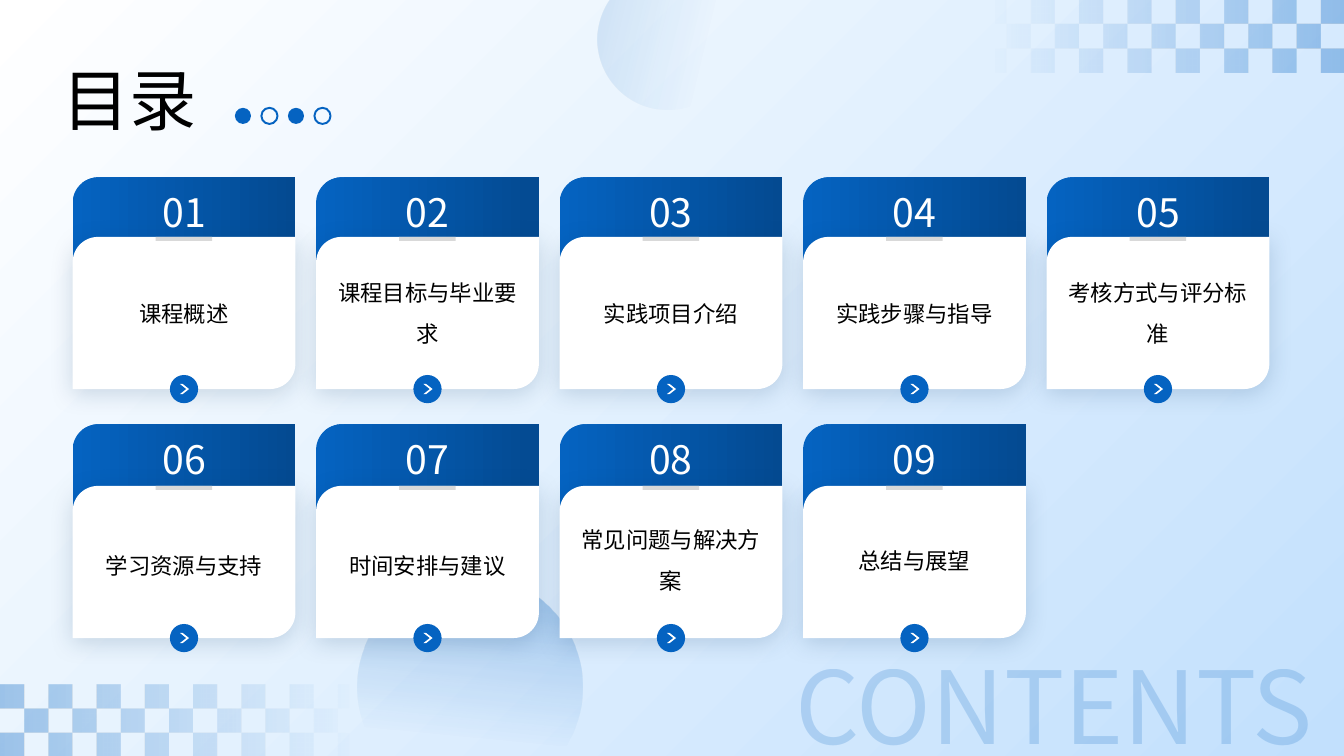
from lxml import etree
from pptx import Presentation
from pptx import util as u
from pptx.dml.color import RGBColor
from pptx.enum import shapes, text
from pptx.oxml import parse_xml
from pptx.oxml.ns import qn

In = u.Inches
MSO = shapes.MSO_SHAPE
FONT = "Noto Sans CJK SC"
BLUE, NAVY, WHITE, BLACK, GREY = "0563C1", "044A91", "FFFFFF", "000000", "D9D9D9"
SHADOW = "033160"
NS = 'xmlns:a="http://schemas.openxmlformats.org/drawingml/2006/main"'

# Chapter title and how far its text box sits below the white panel's top
CHAPTERS = [
    ("课程概述", 0.17), ("课程目标与毕业要求", 0.17), ("实践项目介绍", 0.17),
    ("实践步骤与指导", 0.17), ("考核方式与评分标准", 0.17),
    ("学习资源与支持", 0.2), ("时间安排与建议", 0.2),
    ("常见问题与解决方案", 0.15), ("总结与展望", 0.15),
]
COLUMNS = 5
ROWS = [(1.76, 0.59), (4.21, 0.61)]  # card top, drop to the white panel
CARD_LEFT, CARD_PITCH, CARD_W, CARD_H = 0.72, 2.415, 2.21, 1.51


def rgb(value):
    return RGBColor.from_string(value)


def set_gradient(sp, stops, angle=0):
    """Stops are (position %, colour, opacity %)."""
    gs = "".join(
        f'<a:gs pos="{pos * 1000}"><a:srgbClr val="{color}">'
        f'<a:alpha val="{alpha * 1000}"/></a:srgbClr></a:gs>'
        for pos, color, alpha in stops)
    grad = parse_xml(
        f'<a:gradFill {NS} rotWithShape="1"><a:gsLst>{gs}</a:gsLst>'
        f'<a:lin ang="{angle * 60000}" scaled="0"/></a:gradFill>')
    sp.fill.background()
    old = sp._element.spPr.find(qn("a:noFill"))
    old.getparent().replace(old, grad)


def add_shape(s, kind, x, y, w, h, fill=None, line=None):
    sp = s.shapes.add_shape(kind, In(x), In(y), In(w), In(h))
    sp.shadow.inherit = False
    if fill:
        sp.fill.solid()
        sp.fill.fore_color.rgb = rgb(fill)
    else:
        sp.fill.background()
    if line:
        sp.line.color.rgb = rgb(line)
        sp.line.width = u.Pt(1.38)
    else:
        sp.line.fill.background()
    return sp


def add_text(s, words, x, y, w, h, size, color, align="CENTER", anchor="MIDDLE",
             spacing=1.2, alpha=None):
    tf = s.shapes.add_textbox(In(x), In(y), In(w), In(h)).text_frame
    tf.word_wrap = True
    tf.margin_left = tf.margin_right = tf.margin_top = tf.margin_bottom = 0
    tf.vertical_anchor = text.MSO_ANCHOR[anchor]
    tf.text = words
    p = tf.paragraphs[0]
    p.alignment = text.PP_ALIGN[align]
    p.line_spacing = spacing
    r = p.runs[0]
    r.font.size = u.Pt(size)
    r.font.color.rgb = rgb(color)
    r.font.name = FONT
    r_pr = r.font._element
    etree.SubElement(r_pr, qn("a:ea")).set("typeface", FONT)
    if alpha:
        clr = r_pr.find(".//" + qn("a:srgbClr"))
        etree.SubElement(clr, qn("a:alpha")).set("val", str(alpha * 1000))


def add_checkerboard(s, x, y, first, angle):
    """16 by 3 board; first is the parity of the filled cells."""
    cell = In(0.239)
    left, top = In(x), In(y)
    squares = [(left + col * cell, top + row * cell)
               for row in range(3) for col in range(16)
               if (row + col) % 2 == first]
    board = s.shapes.build_freeform(*squares[0], scale=1.0)
    for i, (cx, cy) in enumerate(squares):
        if i:
            board.move_to(cx, cy)
        board.add_line_segments(
            [(cx + cell, cy), (cx + cell, cy + cell), (cx, cy + cell)], close=True)
    sp = board.convert_to_shape()
    sp.shadow.inherit = False
    sp.line.fill.background()
    set_gradient(sp, [(0, BLUE, 34), (91, BLUE, 0)], angle)


def add_background(s, w, h):
    sp = add_shape(s, MSO.RECTANGLE, 0, 0, w, h)
    set_gradient(sp, [(0, WHITE, 100), (100, "C2E0FD", 100)], 45)
    add_checkerboard(s, 0, h - 0.71, 0, 0)
    add_checkerboard(s, w - 3.82, 0, 1, 180)
    add_text(s, "CONTENTS", 6.8, 6.23, 6.22, 1.27, 72, BLUE, align="RIGHT", alpha=18)
    # Fading circles
    for x, y, size, turn, alpha in [(3.55, 5.7, 2.23, 95.5, 34),
                                    (5.93, -0.3, 1.39, 13.5, 16)]:
        sp = add_shape(s, MSO.OVAL, x, y, size, size)
        sp.rotation = turn
        set_gradient(sp, [(0, BLUE, alpha), (69, BLUE, 0)])


def add_heading(s, x, y):
    add_text(s, "目录", x, y, 1.83, 0.97, 48, BLACK, align="LEFT", anchor="BOTTOM")
    # Alternating solid and hollow dots
    for i in range(4):
        style = {"line": BLUE} if i % 2 else {"fill": BLUE}
        add_shape(s, MSO.OVAL, x + 1.71 + i * 0.263, y + 0.66, 0.16, 0.16, **style)


def add_card(s, x, y, drop, number, title, title_drop):
    middle, panel_y = x + CARD_W / 2, y + drop
    # Blue back and white panel
    back = add_shape(s, MSO.ROUND_2_DIAG_RECTANGLE, x, y, CARD_W, CARD_H)
    set_gradient(back, [(0, BLUE, 100), (100, NAVY, 100)])
    panel = add_shape(s, MSO.ROUND_2_DIAG_RECTANGLE, x, panel_y, CARD_W, CARD_H, WHITE)
    panel._element.spPr.find(qn("a:effectLst")).append(parse_xml(
        f'<a:outerShdw {NS} blurRad="{u.Pt(17)}" dist="{u.Pt(3)}" dir="5400000" '
        f'algn="t" rotWithShape="0"><a:srgbClr val="{SHADOW}">'
        '<a:alpha val="17000"/></a:srgbClr></a:outerShdw>'))
    # Number, title and divider
    add_text(s, f"{number:02}", middle - 0.31, y + 0.07, 0.62, 0.45, 28, WHITE)
    add_text(s, title, x + 0.16, panel_y + title_drop, 1.89, 1.04, 16, BLACK, spacing=1.5)
    add_shape(s, MSO.RECTANGLE, middle - 0.28, panel_y, 0.56, 0.04, GREY)
    # Arrow badge
    badge_y = panel_y + CARD_H - 0.14
    add_shape(s, MSO.OVAL, middle - 0.14, badge_y, 0.28, 0.28, BLUE)
    arrow = add_shape(s, MSO.CHEVRON, middle - 0.04, badge_y + 0.09, 0.09, 0.1, WHITE)
    arrow.adjustments[0] = 0.7


def main():
    prs = Presentation()
    prs.slide_width, prs.slide_height = In(13.33), In(7.5)
    s = prs.slides.add_slide(prs.slide_layouts[6])
    add_background(s, 13.33, 7.5)
    add_heading(s, 0.62, 0.41)
    for i, (title, title_drop) in enumerate(CHAPTERS):
        row, col = divmod(i, COLUMNS)
        top, drop = ROWS[row]
        add_card(s, CARD_LEFT + col * CARD_PITCH, top, drop, i + 1, title, title_drop)
    prs.save("out.pptx")


if __name__ == "__main__":
    main()
